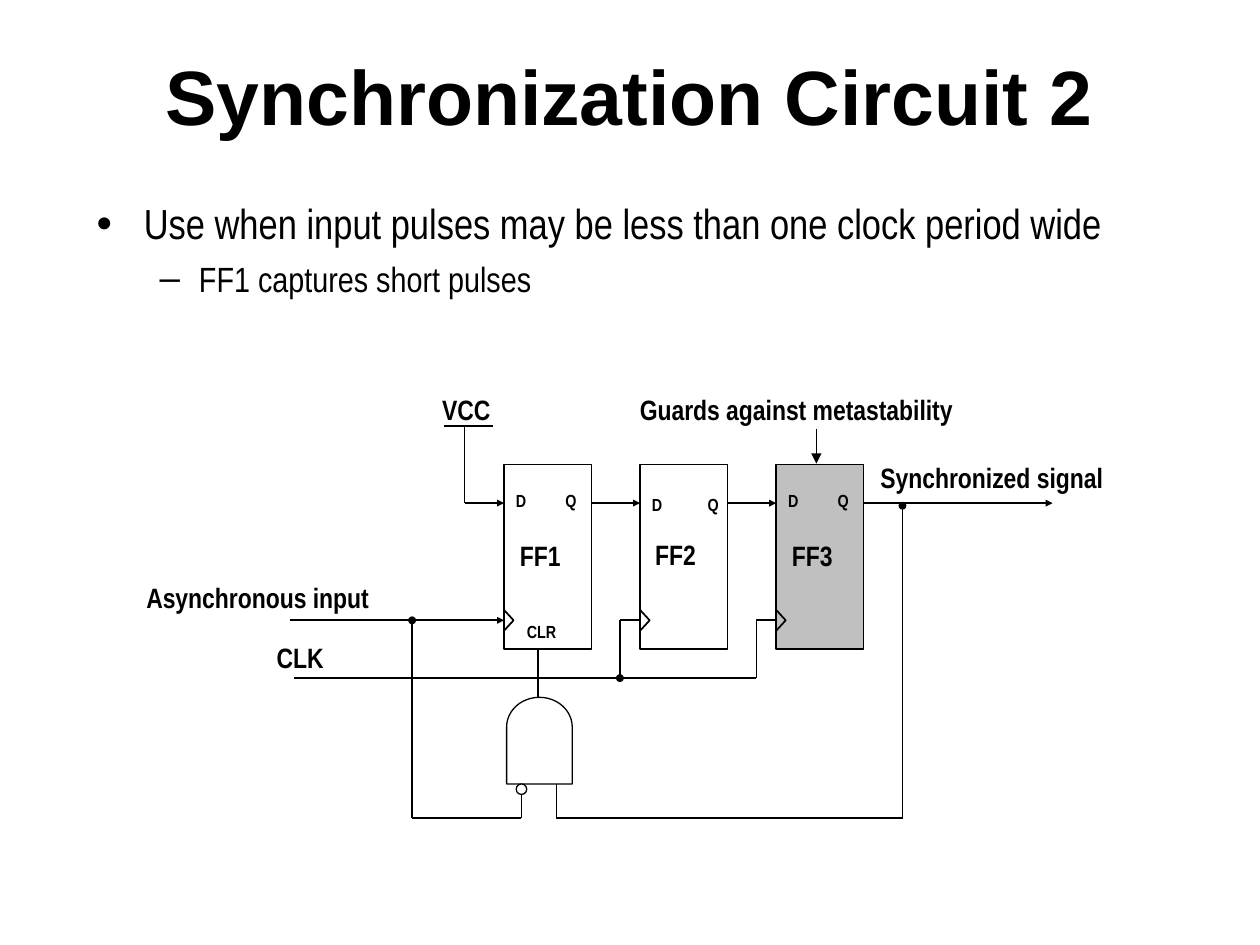
from math import cos, pi, sin

from lxml.etree import SubElement
from pptx import Presentation
from pptx.dml.color import RGBColor
from pptx.enum.shapes import MSO_CONNECTOR, MSO_SHAPE
from pptx.enum.text import MSO_ANCHOR, MSO_AUTO_SIZE, PP_ALIGN
from pptx.oxml.ns import qn
from pptx.util import Pt

TITLE = "Synchronization Circuit 2"
# text, level, size, left margin, hanging indent, space before, bullet
BULLETS = [
    ("Use when input pulses may be less than one clock period wide", 0, 24, 27, 27, 0, "•"),
    ("FF1 captures short pulses", 1, 20, 58.5, 22.5, 5, "–"),
]
BLACK, WHITE, GREY = "000000", "FFFFFF", "C0C0C0"
THIN = 0.75

# Flip-flops: name, fill, name offset (x, y), Q offset, pin label top
FF_LEFT, FF_TOP, FF_WIDTH, FF_HEIGHT, FF_STEP = 288, 265.5, 50, 105.5, 77.75
FLIP_FLOPS = [
    ("FF1", WHITE, (2, 38.5), 28, 276.5),
    ("FF2", WHITE, (1.5, 38), 31.5, 278.5),
    ("FF3", GREY, (2, 38.5), 28, 276.5),
]
FF1, FF2, FF3 = (FF_LEFT + FF_STEP * i for i in range(3))

# Heights of the horizontal wires
VCC_Y, DATA_Y, CLOCK_Y, CLK_Y, FEEDBACK_Y = 243.5, 287.5, 354.5, 387.5, 467.5
# Columns of the vertical wires
VCC_X, ASYNC_X, CLK2_X, CLK3_X, OUTPUT_X = 265.5, 235.5, 354.25, 432.25, 515.75

# AND gate
GATE_LEFT, GATE_RIGHT, GATE_BOTTOM = 289.5, 327, 448
DOME_BASE, DOME_HEIGHT = 415.5, 17
GATE_MIDDLE = (GATE_LEFT + GATE_RIGHT) / 2
INVERTED_X, DIRECT_X = 298, 318

# start x, start y, end x, end y
ARROWS = [
    (165.5, CLOCK_Y, FF1, CLOCK_Y),
    (VCC_X, DATA_Y, FF1, DATA_Y),
    (FF1 + FF_WIDTH, DATA_Y, FF2, DATA_Y),
    (FF2 + FF_WIDTH, DATA_Y, FF3, DATA_Y),
    (FF3 + FF_WIDTH, DATA_Y, 601.5, DATA_Y),
]
WIRES = [
    (254, VCC_Y, 282, VCC_Y),
    (VCC_X, VCC_Y, VCC_X, DATA_Y),
    (168, CLK_Y, CLK3_X, CLK_Y),
    (CLK2_X, CLK_Y, CLK2_X, CLOCK_Y),
    (CLK2_X, CLOCK_Y, FF2, CLOCK_Y),
    (CLK3_X, CLK_Y, CLK3_X, CLOCK_Y),
    (CLK3_X, CLOCK_Y, FF3, CLOCK_Y),
    (OUTPUT_X, DATA_Y, OUTPUT_X, FEEDBACK_Y),
    (DIRECT_X, FEEDBACK_Y, OUTPUT_X, FEEDBACK_Y),
    (ASYNC_X, FEEDBACK_Y, INVERTED_X, FEEDBACK_Y),
    (ASYNC_X, FEEDBACK_Y, ASYNC_X, CLOCK_Y),
]
GATE_WIRES = [
    (307.5, FF_TOP + FF_HEIGHT, 307.5, DOME_BASE - DOME_HEIGHT),
    (DIRECT_X, GATE_BOTTOM, DIRECT_X, FEEDBACK_Y),
    (INVERTED_X, GATE_BOTTOM + 5, INVERTED_X, FEEDBACK_Y),
]
JUNCTIONS = [(ASYNC_X, CLOCK_Y), (CLK2_X, CLK_Y), (OUTPUT_X, DATA_Y + 1.5)]

# text, left, top, width
LABELS = [
    ("VCC", 245.5, 221, 46),
    ("Guards against metastability", 358.5, 221, 198),
    ("Synchronized signal", 496, 259.5, 146),
    ("Asynchronous input", 76.5, 328, 146),
    ("CLK", 151, 362.5, 46),
]


def rgb(value):
    return RGBColor.from_string(value)


def write(paragraph, text, size, font="Arial Narrow", bold=True):
    run = paragraph.add_run()
    run.text = text
    run.font.size = Pt(size)
    run.font.name = font
    run.font.bold = bold
    run.font.color.rgb = rgb(BLACK)


def place(shape, left, top, width, height):
    shape.left, shape.top = Pt(left), Pt(top)
    shape.width, shape.height = Pt(width), Pt(height)


def label(text, left, top, width, size=16, align=PP_ALIGN.LEFT):
    height = 26.5 if size == 16 else 19.5
    frame = slide.shapes.add_textbox(Pt(left), Pt(top), Pt(width), Pt(height)).text_frame
    frame.word_wrap = False
    frame.paragraphs[0].alignment = align
    write(frame.paragraphs[0], text, size)


def pin(text, left, top, width=20.5):
    label(text, left, top, width, 10, PP_ALIGN.CENTER)


def outline(shape, fill, weight):
    shape.shadow.inherit = False
    if fill:
        shape.fill.solid()
        shape.fill.fore_color.rgb = rgb(fill)
    else:
        shape.fill.background()
    shape.line.color.rgb = rgb(BLACK)
    shape.line.width = Pt(weight)


def wire(x1, y1, x2, y2, weight=1, head=None):
    """Draw a straight wire; head is the arrowhead size, such as "med"."""
    line = slide.shapes.add_connector(MSO_CONNECTOR.STRAIGHT, Pt(x1), Pt(y1), Pt(x2), Pt(y2))
    line.line.color.rgb = rgb(BLACK)
    line.line.width = Pt(weight)
    if head:
        SubElement(line.line._get_or_add_ln(), qn("a:tailEnd"), type="triangle", w=head, len=head)
    SubElement(line._element.spPr, qn("a:effectLst"))


def circle(x, y, diameter, fill):
    corner = Pt(x - diameter / 2), Pt(y - diameter / 2)
    outline(slide.shapes.add_shape(MSO_SHAPE.OVAL, *corner, Pt(diameter), Pt(diameter)), fill, THIN)


def polyline(points, close, weight):
    (x, y), *rest = [(Pt(px), Pt(py)) for px, py in points]
    builder = slide.shapes.build_freeform(x, y)
    builder.add_line_segments(rest, close=close)
    outline(builder.convert_to_shape(), None, weight)


def flip_flop(left, name, fill, name_offset, q_offset, pin_top):
    block = slide.shapes.add_shape(
        MSO_SHAPE.RECTANGLE, Pt(left), Pt(FF_TOP), Pt(FF_WIDTH), Pt(FF_HEIGHT))
    outline(block, fill, 1)
    polyline([(left, CLOCK_Y - 6), (left + 5.5, CLOCK_Y), (left, CLOCK_Y + 6)], False, 1)
    pin("D", left - 0.5, pin_top)
    pin("Q", left + q_offset, pin_top)
    label(name, left + name_offset[0], FF_TOP + name_offset[1], 42)


prs = Presentation()
prs.slide_width, prs.slide_height = Pt(720), Pt(540)
slide = prs.slides.add_slide(prs.slide_layouts[1])

title, body = slide.placeholders
place(title, 48, 15, 624, 78)
title.text_frame.vertical_anchor = MSO_ANCHOR.MIDDLE
title.text_frame.paragraphs[0].alignment = PP_ALIGN.CENTER
write(title.text_frame.paragraphs[0], TITLE, 44, "Arial")

place(body, 48, 109.5, 624, 105)
body.text_frame.auto_size = MSO_AUTO_SIZE.NONE
for i, (text, level, size, margin, hanging, before, bullet) in enumerate(BULLETS):
    paragraph = body.text_frame.add_paragraph() if i else body.text_frame.paragraphs[0]
    paragraph.level = level
    paragraph.space_before = Pt(before)
    props = paragraph._p.get_or_add_pPr()
    props.set("marL", str(Pt(margin)))
    props.set("indent", str(-Pt(hanging)))
    SubElement(props, qn("a:buSzPct"), val="105000")
    SubElement(props, qn("a:buChar"), char=bullet)
    write(paragraph, text, size, bold=False)

for left, details in zip((FF1, FF2, FF3), FLIP_FLOPS):
    flip_flop(left, *details)
pin("CLR", 292, 351.5, 35)

for ends in ARROWS:
    wire(*ends, head="sm")
wire(466.5, 245, 466.5, 265, head="med")
for ends in WIRES:
    wire(*ends)
for ends in GATE_WIRES:
    wire(*ends, weight=THIN)

half_width, steps = (GATE_RIGHT - GATE_LEFT) / 2, 24
dome = [(GATE_MIDDLE - half_width * cos(pi * i / steps),
         DOME_BASE - DOME_HEIGHT * sin(pi * i / steps)) for i in range(steps + 1)]
polyline([(GATE_LEFT, GATE_BOTTOM), *dome, (GATE_RIGHT, GATE_BOTTOM)], True, THIN)
circle(INVERTED_X, GATE_BOTTOM + 3, 6, WHITE)

for x, y in JUNCTIONS:
    circle(x, y, 3.75, BLACK)
for details in LABELS:
    label(*details)

prs.save("out.pptx")
